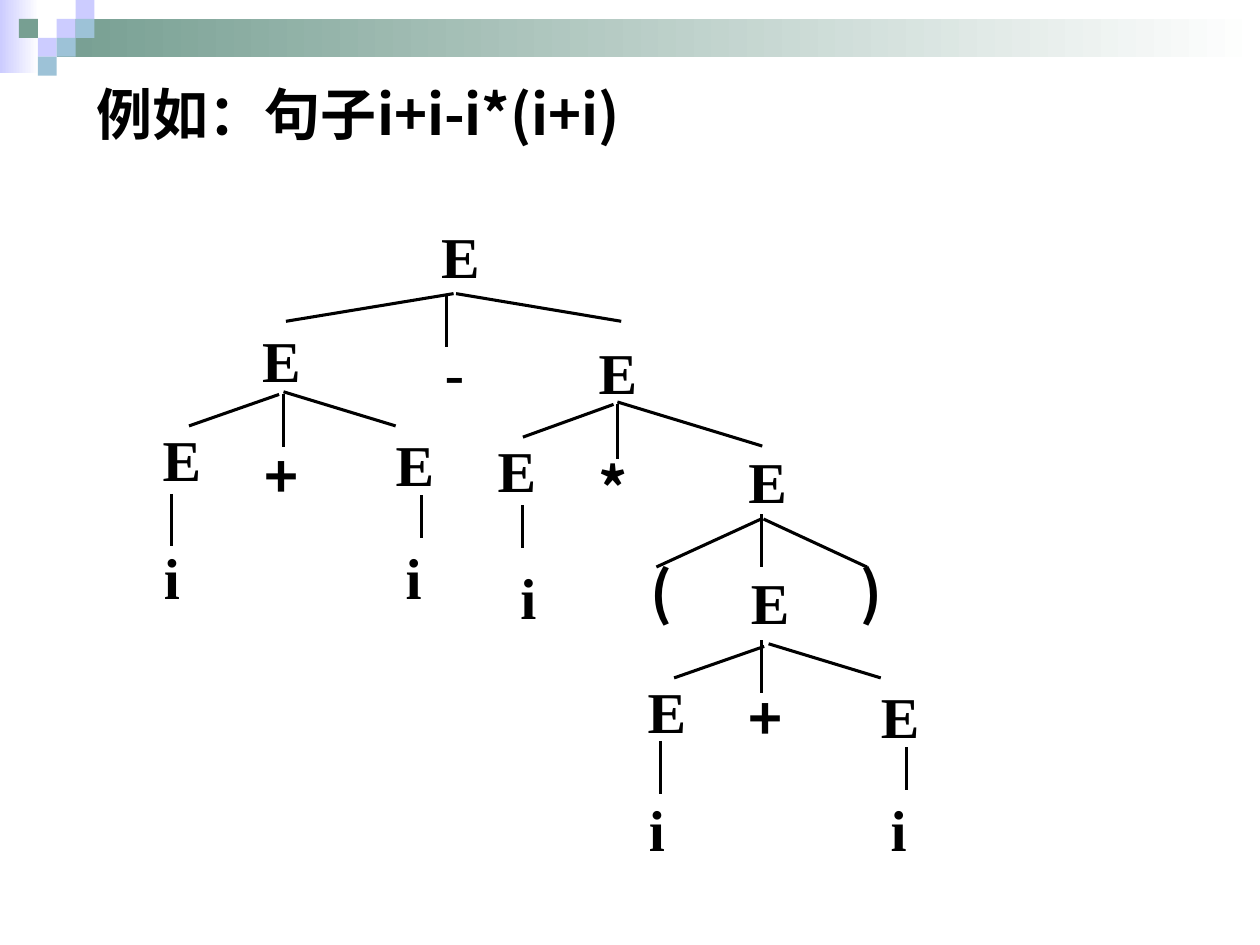
import pptx
import pptx.util
import pptx.dml.color
import pptx.enum.shapes
import pptx.enum.text
from lxml import etree

Pt = pptx.util.Pt
SERIF, SANS = "Times New Roman", "Noto Sans CJK SC"
BLACK, WHITE, LILAC, GREEN, BLUE = "000000", "FFFFFF", "CCCCFF", "779F92", "9DC2D7"

TITLE = "例如：句子i+i-i*(i+i)"
BANDS = [
    (0, 0, 22.3, 41.8, LILAC),
    (32.4, 10.8, 687.6, 21.6, GREEN),
]
TILE = 10.8
TILES = [
    (3, 1, LILAC), (4, 0, LILAC), (4, 1, BLUE), (2, 2, LILAC),
    (1, 1, GREEN), (3, 2, BLUE), (2, 3, BLUE),
]

SYMBOL_SIZES = {"E": 22.3, "i": 9.4, "-": 11, "+": 18.7, "*": 18, "(": 11.5, ")": 11.5}
SERIF_SYMBOLS = "Ei-"

SUM_ORIGINS = [(92.9, 241.9), (370.1, 385.9)]
SUM_SYMBOLS = [("E", 0, 0), ("E", 133.2, 2.9), ("i", 0.7, 67.7), ("i", 138.9, 67.7)]
SUM_BRANCHES = [
    (66.6, -16.5, 15.1, 1.5),
    (69.1, -18, 133.2, 1.5),
    (147.8, 41, 147.8, 65.5),
]

SYMBOLS = [
    ("E", 252, 126), ("E", 149.8, 185.8), ("-", 254.2, 192.2), ("E", 342, 192.2),
    ("+", 151.2, 252), ("E", 284.4, 248.4), ("*", 342, 258.5), ("E", 427.7, 254.9),
    ("i", 297.4, 321.1), ("(", 371.5, 318.2), ("E", 429.1, 324), (")", 491.8, 318.2),
    ("+", 427.7, 390.2),
]
BRANCHES = [
    (259.2, 167.8, 163.4, 183.6), (254.9, 167.8, 254.9, 198), (260.6, 167.8, 355, 183.6),
    (162, 225.4, 162, 255.6), (97.9, 282.2, 97.9, 311.8),
    (350.6, 231.1, 298.8, 249.8), (352.8, 231.1, 352.8, 262.1), (352.8, 229.7, 435.6, 254.9),
    (298.8, 288.7, 298.8, 313.2),
    (434.9, 296.6, 375.1, 324), (434.9, 293.8, 434.9, 324), (436.3, 296.6, 495.4, 324),
    (434.9, 365.8, 434.9, 396), (377.3, 423.4, 377.3, 453.6),
]


def color(value):
    return pptx.dml.color.RGBColor.from_string(value)


def add_rect(left, top, width, height, start, end=None):
    rect = slide.shapes.add_shape(
        pptx.enum.shapes.MSO_SHAPE.RECTANGLE, Pt(left), Pt(top), Pt(width), Pt(height))
    rect.shadow.inherit = False
    rect.line.fill.background()
    if end:
        rect.fill.gradient()
        rect.fill.gradient_angle = 0
        for stop, value in zip(rect.fill.gradient_stops, (start, end)):
            stop.color.rgb = color(value)
    else:
        rect.fill.solid()
        rect.fill.fore_color.rgb = color(start)


def add_text(text, left, top, width, height, *, font, size, inset=(0, 0), wrap=False, hanging=0):
    box = slide.shapes.add_textbox(Pt(left), Pt(top), Pt(width), Pt(height))
    frame = box.text_frame
    frame.word_wrap = wrap
    frame.auto_size = pptx.enum.text.MSO_AUTO_SIZE.NONE
    frame.margin_left = frame.margin_right = Pt(inset[0])
    frame.margin_top = frame.margin_bottom = Pt(inset[1])
    paragraph = frame.paragraphs[0]
    if hanging:
        properties = paragraph._p.get_or_add_pPr()
        properties.set("marL", str(Pt(hanging)))
        properties.set("indent", str(-Pt(hanging)))
    run = paragraph.add_run()
    run.text = text
    run.font.name = font
    run.font.size = Pt(size)
    run.font.bold = True
    run.font.color.rgb = color(BLACK)
    east_asian = etree.SubElement(run._r.rPr, pptx.oxml.ns.qn("a:ea"))
    east_asian.set("typeface", SANS)


def add_symbol(symbol, left, top):
    font = SERIF if symbol in SERIF_SYMBOLS else SANS
    add_text(symbol, left, top, SYMBOL_SIZES[symbol], 39.6, font=font, size=33)


def add_branch(x1, y1, x2, y2):
    branch = slide.shapes.add_connector(
        pptx.enum.shapes.MSO_CONNECTOR.STRAIGHT, Pt(x1), Pt(y1), Pt(x2), Pt(y2))
    branch.line.width = Pt(1.75)
    branch.line.color.rgb = color(BLACK)
    etree.SubElement(branch._element.spPr, pptx.oxml.ns.qn("a:effectLst"))


deck = pptx.Presentation()
deck.slide_width, deck.slide_height = Pt(720), Pt(540)
slide = deck.slides.add_slide(deck.slide_layouts[6])

for left, top, width, height, start in BANDS:
    add_rect(left, top, width, height, start, WHITE)
for column, row, fill in TILES:
    add_rect(column * TILE, row * TILE, TILE, TILE, fill)

add_text(TITLE, 48.2, 41.8, 612, 59.8, font=SANS, size=32, inset=(7.2, 3.6), wrap=True, hanging=27)

for symbol in SYMBOLS:
    add_symbol(*symbol)
for branch in BRANCHES:
    add_branch(*branch)
for x, y in SUM_ORIGINS:
    for symbol, dx, dy in SUM_SYMBOLS:
        add_symbol(symbol, x + dx, y + dy)
    for x1, y1, x2, y2 in SUM_BRANCHES:
        add_branch(x + x1, y + y1, x + x2, y + y2)

deck.save("out.pptx")
